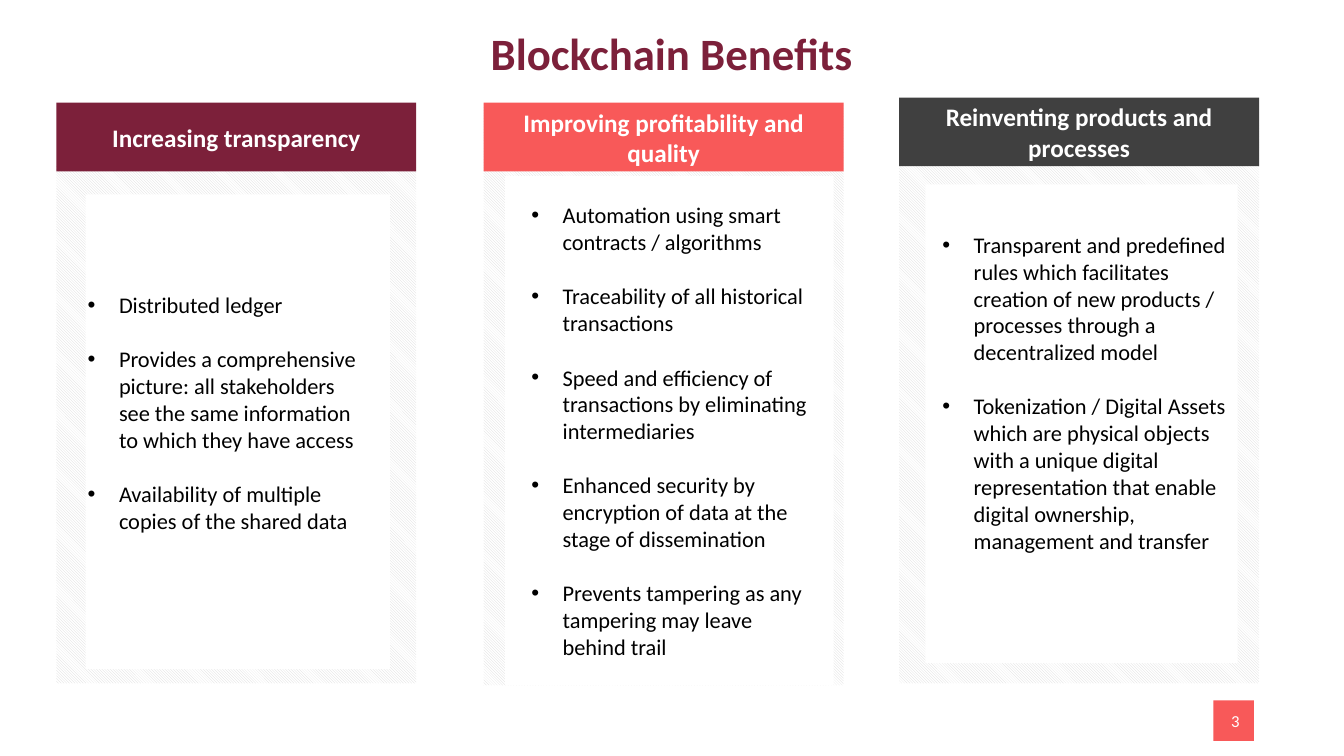
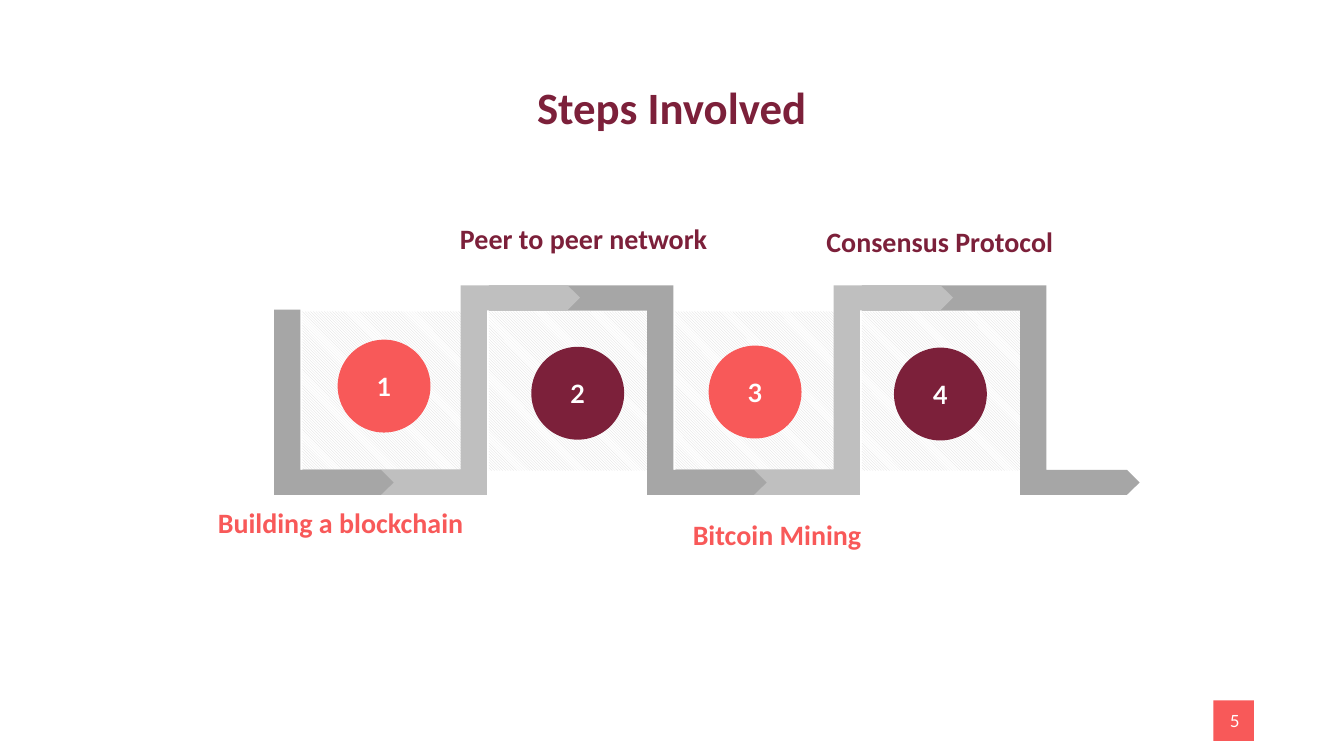
from lxml import etree
from pptx import Presentation
from pptx.dml.color import RGBColor
from pptx.enum.dml import MSO_PATTERN
from pptx.enum.shapes import MSO_SHAPE
from pptx.enum.text import MSO_ANCHOR, PP_ALIGN
from pptx.oxml.ns import qn
from pptx.util import Cm, Pt

RECT, OVAL = MSO_SHAPE.RECTANGLE, MSO_SHAPE.OVAL
LEFT, CENTER, RIGHT = PP_ALIGN.LEFT, PP_ALIGN.CENTER, PP_ALIGN.RIGHT
TOP, MIDDLE = MSO_ANCHOR.TOP, MSO_ANCHOR.MIDDLE
HATCH = MSO_PATTERN.LIGHT_DOWNWARD_DIAGONAL

WINE = RGBColor(0x7C, 0x20, 0x3A)
CORAL = RGBColor(0xF8, 0x59, 0x59)
CHARCOAL = RGBColor(0x40, 0x40, 0x40)
DARK_GREY = RGBColor(0xA6, 0xA6, 0xA6)
LIGHT_GREY = RGBColor(0xBF, 0xBF, 0xBF)
HATCH_GREY = RGBColor(0xD9, 0xD9, 0xD9)
WHITE = RGBColor(0xFF, 0xFF, 0xFF)
BLACK = RGBColor(0, 0, 0)
BODY_FONT, NUMBER_FONT = "Calibri", "Lato"

# Content; all boxes are left, top, width, height in centimetres
BENEFITS = [
    {"heading": "Increasing transparency", "color": WINE,
     "header": (1.42, 2.59), "panel": (4.19, 13.03),
     "card": (2.16, 4.9, 7.67, 11.96), "list": (2.21, 7.34, 7.01, 6.15),
     "points": [
         "Distributed ledger",
         "Provides a comprehensive picture: all stakeholders see the same "
         "information to which they have access",
         "Availability of multiple copies of the shared data"]},
    {"heading": "Improving profitability and quality", "color": CORAL,
     "header": (12.19, 2.59), "panel": (2.64, 14.63),
     "card": (12.73, 4.44, 8.28, 12.83), "list": (13.39, 5.08, 6.99, 11.63),
     "points": [
         "Automation using smart contracts / algorithms",
         "Traceability of all historical transactions",
         "Speed and efficiency of transactions by eliminating intermediaries",
         "Enhanced security by encryption of data at the stage of dissemination",
         "Prevents tampering as any tampering may leave behind trail"]},
    {"heading": "Reinventing products and processes", "color": CHARCOAL,
     "header": (22.66, 2.46), "panel": (2.59, 14.63),
     "card": (23.32, 4.65, 7.87, 12.06), "list": (23.75, 5.82, 7.16, 8.2),
     "points": [
         "Transparent and predefined rules which facilitates creation of new "
         "products / processes through a decentralized model",
         "Tokenization / Digital Assets which are physical objects with a unique "
         "digital representation that enable digital ownership, management and "
         "transfer"]},
]
HEADER_WIDTH, HEADER_HEIGHT = 9.07, 1.73

# Label, colour, label box, circle corner
STEPS = [
    ("Building a blockchain", CORAL, (5.46, 12.75, 6.25, 0.86), (8.51, 8.56)),
    ("Peer to peer network", WINE, (11.56, 5.59, 6.3, 0.86), (13.39, 8.74)),
    ("Bitcoin Mining", CORAL, (17.45, 13.03, 4.27, 0.86), (17.86, 8.71)),
    ("Consensus Protocol", WINE, (20.8, 5.66, 5.77, 0.86), (22.53, 8.76)),
]
FIRST_LEFT, STEP_PITCH, CIRCLE = 7.62, 4.7, 2.34
TILE_TOP, TILE_WIDTH, TILE_HEIGHT = 7.85, 4.05, 4.01

# Band that runs across, turns down and ends in an arrow
BAND_TOP, BAND_HEIGHT = 7.19, 5.28
BAND = [(0, 0), (4.65, 0), (4.65, 4.65), (6.68, 4.65), (7, 4.97),
        (6.68, 5.28), (3.99, 5.28), (3.99, 0.64), (0, 0.64)]
MIRRORED_BAND = [(x, BAND_HEIGHT - y) for x, y in BAND]
START_BAND = [(3.99, 0.61), (4.65, 0.61)] + BAND[2:7]


def write(shape, texts, size, color, bold=False, align=CENTER, anchor=MIDDLE,
          font=BODY_FONT):
    frame = shape.text_frame
    frame.text = "\n".join(texts)
    frame.vertical_anchor = anchor
    for para in frame.paragraphs:
        para.alignment = align
        for span in para.runs:
            span.font.name, span.font.size = font, Pt(size)
            span.font.bold, span.font.color.rgb = bold, color
    return frame


def paint(shape, color):
    shape.shadow.inherit = False
    shape.line.fill.background()
    shape.fill.solid()
    shape.fill.fore_color.rgb = color
    return shape


def add_block(page, area, color, kind=RECT):
    return paint(page.shapes.add_shape(kind, *map(Cm, area)), color)


def add_hatched(page, area):
    fill = add_block(page, area, WHITE).fill
    fill.patterned()
    fill.pattern = HATCH
    fill.fore_color.rgb, fill.back_color.rgb = HATCH_GREY, WHITE


def add_text(page, area, texts, size, color, wrap=True, **style):
    box = page.shapes.add_textbox(*map(Cm, area))
    frame = write(box, texts, size, color, anchor=TOP, **style)
    frame.word_wrap = wrap
    frame.margin_left = frame.margin_right = 0
    frame.margin_top = frame.margin_bottom = 0
    return frame


def add_bullets(page, area, points):
    frame = add_text(page, area, points, 16, BLACK, align=LEFT)
    for para in frame.paragraphs:
        if para is not frame.paragraphs[-1]:
            para.space_after = Pt(19.5)
        props = para._p.get_or_add_pPr()
        props.set("marL", str(Cm(0.79)))
        props.set("indent", str(-Cm(0.79)))
        etree.SubElement(props, qn("a:buFont")).set("typeface", "Arial")
        etree.SubElement(props, qn("a:buChar")).set("char", "•")


def add_band(page, left, outline, color):
    points = [(Cm(left + x), Cm(BAND_TOP + y)) for x, y in outline]
    builder = page.shapes.build_freeform(*points[0])
    builder.add_line_segments(points[1:], close=True)
    paint(builder.convert_to_shape(), color)


def add_page(deck, title, title_top, number, number_font):
    page = deck.slides.add_slide(deck.slide_layouts[6])
    add_text(page, (6.53, title_top, 20.8, 1.37), [title], 32, WINE, bold=True)
    badge = add_block(page, (30.58, 17.65, 1.02, 1.02), CORAL)
    frame = write(badge, [number], 12, WHITE, align=RIGHT, font=number_font)
    frame.margin_left, frame.margin_right = 0, Cm(0.36)
    return page


def build_benefits(deck):
    page = add_page(deck, "Blockchain Benefits", 0.66, "3", BODY_FONT)
    for benefit in BENEFITS:
        left, top = benefit["header"]
        panel_top, panel_height = benefit["panel"]
        add_hatched(page, (left, panel_top, HEADER_WIDTH, panel_height))
        header = add_block(page, (left, top, HEADER_WIDTH, HEADER_HEIGHT),
                           benefit["color"])
        write(header, [benefit["heading"]], 18, WHITE, bold=True)
        add_block(page, benefit["card"], WHITE)
        add_bullets(page, benefit["list"], benefit["points"])


def build_steps(deck):
    page = add_page(deck, "Steps Involved", 2.01, "5", NUMBER_FONT)
    lefts = [FIRST_LEFT + i * STEP_PITCH for i in range(len(STEPS))]
    for left in lefts:
        add_hatched(page, (left, TILE_TOP, TILE_WIDTH, TILE_HEIGHT))

    # Later bands lie beneath the arrowheads of earlier ones
    for i, left in reversed(list(enumerate(lefts))):
        if i % 2:
            add_band(page, left, BAND, DARK_GREY)
        else:
            add_band(page, left, MIRRORED_BAND, LIGHT_GREY)
    add_band(page, FIRST_LEFT - STEP_PITCH, START_BAND, DARK_GREY)

    # Numbered circles and labels
    for number, (label, color, area, corner) in enumerate(STEPS, 1):
        circle = add_block(page, (*corner, CIRCLE, CIRCLE), color, OVAL)
        write(circle, [str(number)], 18, WHITE, bold=True, font=NUMBER_FONT)
        add_text(page, area, [label], 20, color, wrap=False, bold=True)


def main():
    deck = Presentation()
    deck.slide_width, deck.slide_height = Cm(33.87), Cm(19.05)
    build_benefits(deck)
    build_steps(deck)
    deck.save("out.pptx")


if __name__ == "__main__":
    main()
